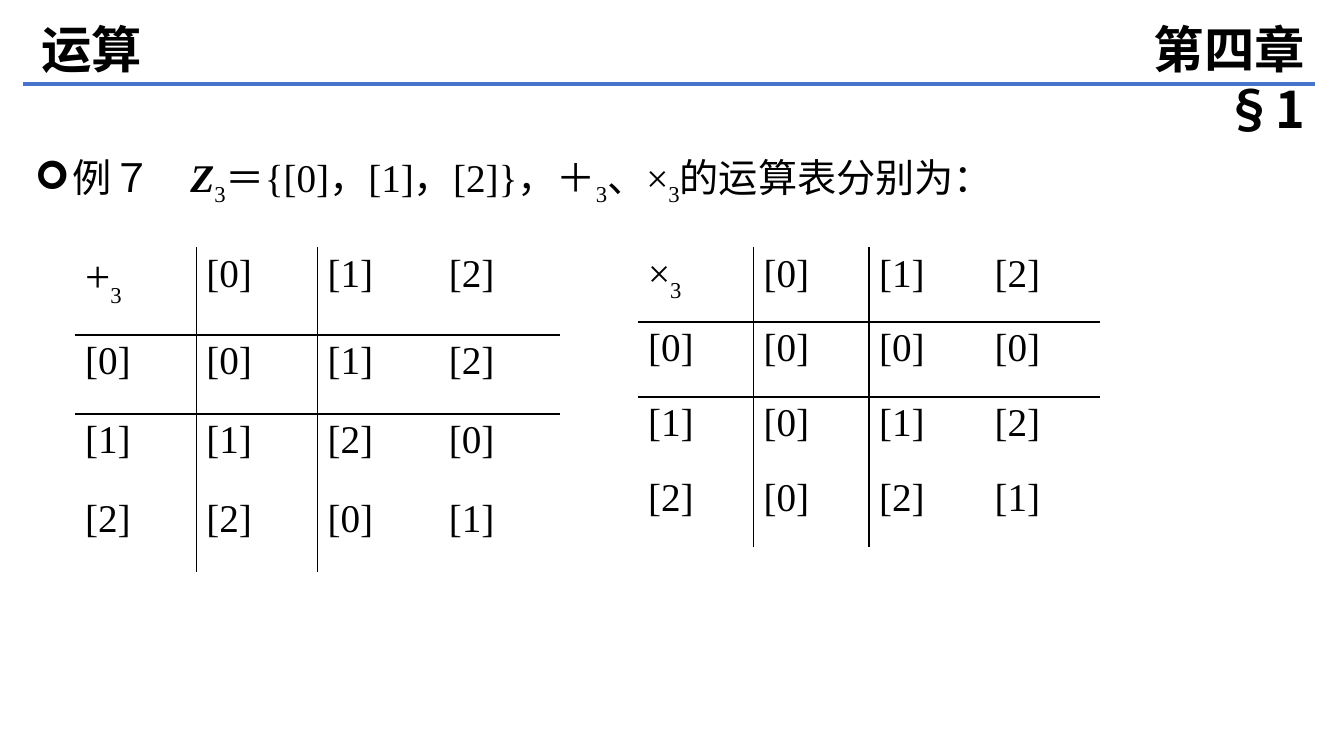
from dataclasses import dataclass

from lxml.etree import SubElement
from pptx import Presentation
from pptx.dml.color import RGBColor
from pptx.enum.shapes import MSO_CONNECTOR
from pptx.enum.text import MSO_ANCHOR, MSO_AUTO_SIZE, PP_ALIGN
from pptx.oxml.ns import qn
from pptx.util import Emu, Pt


@dataclass(frozen=True)
class Theme:
    ink: str = "000000"
    rule: str = "4874CB"
    head: int = 36
    plus: int = 32
    body: int = 28
    serif: str = "Times New Roman"
    sans: str = "Calibri"
    cjk: str = "Noto Sans CJK SC"
    plain: str = "{2D5ABB26-0587-4C30-8999-92F81FD0307C}"


def px(n):
    return Emu(round(n * 914400 / 100.8))


class Board:
    def __init__(self, theme, slide):
        self.theme, self.slide = theme, slide

    def style(self, para, size, face, bold=False):
        font = para.font
        font.size, font.name, font.bold = Pt(size), face, bold
        font.color.rgb = RGBColor.from_string(self.theme.ink)
        props = para._p.get_or_add_pPr().find(qn("a:defRPr"))
        SubElement(props, qn("a:ea"), typeface=self.theme.cjk)

    def add_run(self, para, text, drop=0):
        """Add a run, lowered by drop percent when it is a subscript."""
        run = para.add_run()
        run.text = text
        if drop:
            run.font._element.set("baseline", str(-drop * 1000))
        return run

    def place(self, shape, x, y, w, h):
        shape.left, shape.top, shape.width, shape.height = map(px, (x, y, w, h))
        frame = shape.text_frame
        frame.word_wrap = True
        frame.vertical_anchor = MSO_ANCHOR.TOP
        return frame

    def heading(self, shape, text, align, *box):
        frame = self.place(shape, *box)
        frame.auto_size = MSO_AUTO_SIZE.SHAPE_TO_FIT_TEXT
        para = frame.paragraphs[0]
        para.alignment = align
        self.style(para, self.theme.head, self.theme.cjk, True)
        self.add_run(para, text)

    def title(self, text, *box):
        self.heading(self.slide.shapes.title, text, PP_ALIGN.LEFT, *box)

    def label(self, text, *box):
        self.heading(self.box(), text, PP_ALIGN.RIGHT, *box)

    def box(self):
        return self.slide.shapes.add_textbox(0, 0, 0, 0)

    def line(self, x1, y1, x2, y2):
        rule = self.slide.shapes.add_connector(
            MSO_CONNECTOR.STRAIGHT, *map(px, (x1, y1, x2, y2)))
        rule.line.color.rgb = RGBColor.from_string(self.theme.rule)
        rule.line.width = Pt(2.25)
        SubElement(rule._element.spPr, qn("a:effectLst"))

    def bullet(self, parts, *box):
        """Write one bulleted line from (text, drop) parts; return its runs."""
        para = self.place(self.box(), *box).paragraphs[0]
        para.line_spacing = 1.5
        props = para._p.get_or_add_pPr()
        props.set("marL", str(px(38)))
        props.set("indent", str(-px(38)))
        SubElement(props, qn("a:buFont"), typeface="Wingdings")
        SubElement(props, qn("a:buChar"), char="➢")
        self.style(para, self.theme.body, self.theme.serif)
        return [self.add_run(para, *part) for part in parts]

    def edge(self, cell, *sides):
        props = cell._tc.get_or_add_tcPr()
        for side in sides:
            line = SubElement(props, qn(f"a:{side}"), w=str(Pt(1)))
            fill = SubElement(line, qn("a:solidFill"))
            SubElement(fill, qn("a:srgbClr"), val=self.theme.ink)

    def table(self, sign, size, rule, x, y, w, rows):
        """Draw the operation table on Z3 whose entries are rule(a, b) mod 3."""
        shape = self.slide.shapes.add_table(
            4, 4, px(x), px(y), px(w), px(sum(rows)))
        grid = shape.table
        grid.first_row = grid.horz_banding = False
        grid._tbl.tblPr.find(qn("a:tableStyleId")).text = self.theme.plain
        for col in grid.columns:
            col.width = px(w / 4)
        for row, high in zip(grid.rows, rows):
            row.height = px(high)
        for r in range(4):
            for c in range(4):
                cell = grid.cell(r, c)
                para = cell.text_frame.paragraphs[0]
                self.style(para, self.theme.body, self.theme.serif)
                if r == c == 0:
                    self.add_run(para, sign).font.size = Pt(size)
                    self.add_run(para, "3", 30)
                else:
                    value = rule(r - 1, c - 1) % 3 if r and c else r + c - 1
                    self.add_run(para, f"[{value}]")
                sides = {0: ["lnR"], 1: ["lnL"]}.get(c, [])
                sides = sides + {0: ["lnB"], 1: ["lnT"]}.get(r, [])
                self.edge(cell, *sides)
                cell.fill.background()


def main():
    deck = Presentation()
    deck.slide_width, deck.slide_height = px(1344), px(756)
    theme = Theme()
    board = Board(theme, deck.slides.add_slide(deck.slide_layouts[5]))

    board.line(23, 84, 1315, 84)
    board.title("运算", 31, 13, 413, 72)
    runs = board.bullet(
        [("例７\u3000",), ("Z",), ("3", 25), ("＝{[0]，[1]，[2]}，＋",),
         ("3", 25), ("、×",), ("3", 25), ("的运算表分别",), ("为：",)],
        25, 122, 1289, 508)
    runs[1].font.bold = runs[1].font.italic = True
    runs[-1].font.name = theme.sans
    board.label("第四章 §1", 1059, 13, 256, 72)

    board.table("+", theme.plus, lambda a, b: a + b,
                75, 247, 485, [88, 79, 79, 79])
    board.table("×", theme.body, lambda a, b: a * b,
                638, 247, 462, [75] * 4)
    deck.save("out.pptx")


if __name__ == "__main__":
    main()
